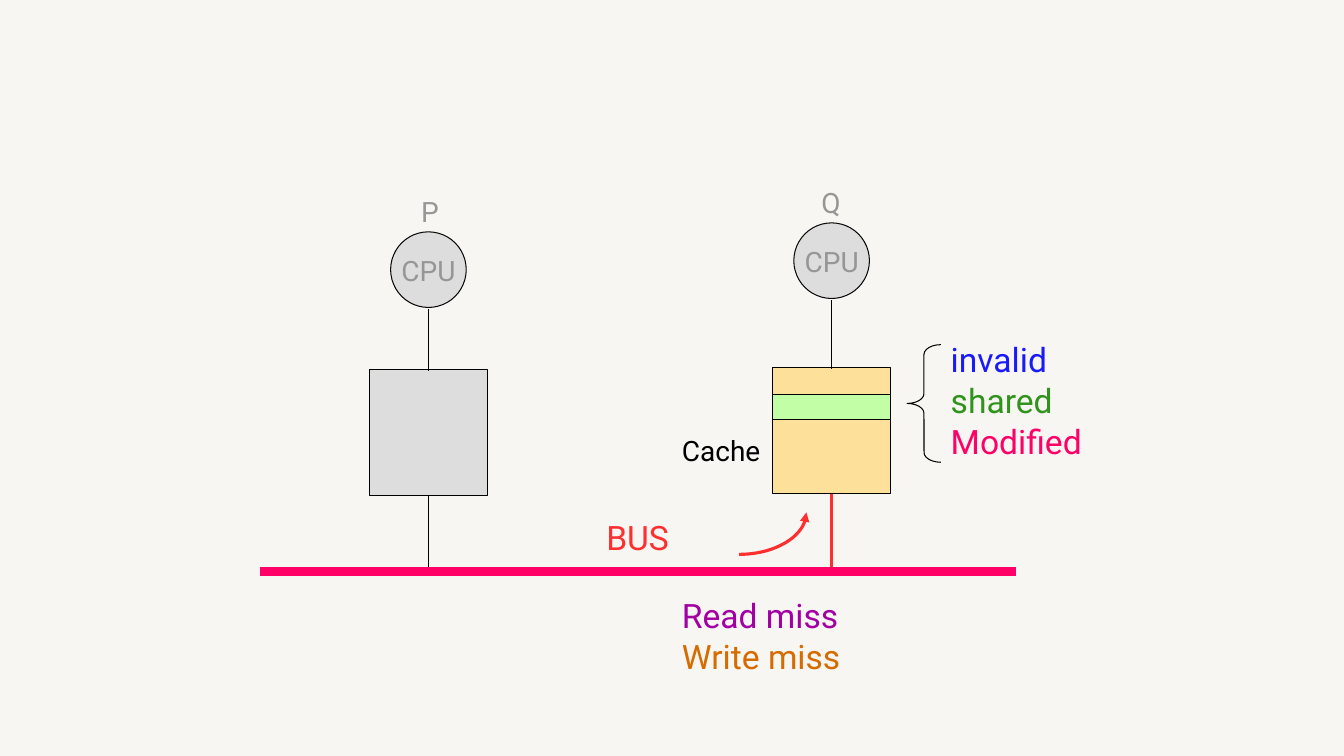
import dataclasses
import lxml.etree
import pptx
import pptx.dml.color
import pptx.enum.shapes
import pptx.oxml.ns
import pptx.util

Pt = pptx.util.Pt
SHAPE = pptx.enum.shapes.MSO_SHAPE


@dataclasses.dataclass(frozen=True)
class Theme:
    """Colours and type sizes of the slide."""
    font: str = "Roboto"
    small: int = 20
    large: int = 24
    background: str = "F7F6F3"
    ink: str = "000000"
    outline: str = "080808"
    muted: str = "969696"
    idle: str = "DDDDDD"
    cache: str = "FDE19B"
    shared_row: str = "C1FEA6"
    red: str = "FF2F2F"
    pink: str = "FF0066"
    blue: str = "1919F9"
    green: str = "30941C"
    purple: str = "A200A2"
    orange: str = "D66B00"


THEME = Theme()


def rgb(colour):
    """Turn a hex string into a colour."""
    return pptx.dml.color.RGBColor.from_string(colour)


def add_text(page, box, text, size=THEME.small, colours=(THEME.ink,), line=None, gap=0, inset=3.6):
    """Add a text box with one paragraph and colour per line of text."""
    frame = page.shapes.add_textbox(*map(Pt, box)).text_frame
    frame.word_wrap = True
    frame.margin_top = Pt(inset)
    for index, (words, colour) in enumerate(zip(text.split("\n"), colours)):
        para = frame.add_paragraph() if index else frame.paragraphs[0]
        if line:
            para.line_spacing = Pt(line)
        if index:
            para.space_before = Pt(gap)
        span = para.add_run()
        span.text = words
        span.font.name = THEME.font
        span.font.size = Pt(size)
        span.font.color.rgb = rgb(colour)


def add_block(page, kind, box, fill=None, line=THEME.ink):
    """Add an outlined preset shape."""
    shape = page.shapes.add_shape(kind, *map(Pt, box))
    shape.shadow.inherit = False
    if fill:
        shape.fill.solid()
        shape.fill.fore_color.rgb = rgb(fill)
    else:
        shape.fill.background()
    shape.line.color.rgb = rgb(line)
    shape.line.width = Pt(0.75)
    return shape


def add_line(page, start, end, colour=THEME.ink, width=0.75):
    """Add a straight line without a shadow."""
    line = page.shapes.add_connector(
        pptx.enum.shapes.MSO_CONNECTOR.STRAIGHT, *map(Pt, (*start, *end)))
    line.line.color.rgb = rgb(colour)
    line.line.width = Pt(width)
    lxml.etree.SubElement(line.element.spPr, pptx.oxml.ns.qn("a:effectLst"))


def add_processor(page, box, name, fill, name_shift, cache_top, bus_stem):
    """Add a named CPU, its cache and the stems down to the bus."""
    left, top, width, height = box
    middle = left + width / 2
    bottom = top + height
    cache_bottom = cache_top + 90
    add_line(page, (middle, cache_bottom), (middle, bottom), **bus_stem)
    add_block(page, SHAPE.RECTANGLE, (left, cache_top, width, 90), fill)
    add_line(page, (middle, top + 55), (middle, cache_top + 1))
    add_block(page, SHAPE.OVAL, (middle - 27, top, 54, 54), THEME.idle, THEME.outline)
    add_text(page, (middle - 26.3, top + 11.9, 60, 31), "CPU", colours=(THEME.muted,))
    add_text(page, (middle + name_shift, top - 30.2, 36, 31), name, colours=(THEME.muted,))


def add_states(page, box):
    """Add the brace and the list of cache line states."""
    left, top, width, height = box
    brace = add_block(page, SHAPE.LEFT_BRACE, (left, top, 24, height))
    brace.adjustments[0] = 0.292
    brace.adjustments[1] = 0.5
    add_text(page, (left + 24, top + 2.2, width - 24, 89.3), "invalid\nshared\nModified",
             THEME.large, (THEME.blue, THEME.green, THEME.pink), line=19, gap=10.3)


def add_bus_arrow(page, box):
    """Add the curved arrow that rises from the bus to the cache."""
    left, top, width, height = box
    steps = 24
    points = []
    for step in range(steps + 1):
        t = step / steps
        across = 3 * (1 - t) ** 2 * t * 0.55 + 3 * (1 - t) * t ** 2 + t ** 3
        up = 3 * (1 - t) * t ** 2 * 0.45 + t ** 3
        points.append((Pt(left + width * across), Pt(top + height * (1 - up))))
    builder = page.shapes.build_freeform(*points[0])
    builder.add_line_segments(points[1:], close=False)
    arrow = builder.convert_to_shape()
    arrow.shadow.inherit = False
    arrow.fill.background()
    arrow.line.color.rgb = rgb(THEME.red)
    arrow.line.width = Pt(2.25)
    tail = lxml.etree.SubElement(arrow.line._get_or_add_ln(), pptx.oxml.ns.qn("a:tailEnd"))
    tail.set("type", "triangle")


def add_bus(page, box):
    """Add the bus, its name and the messages below it."""
    left, top, width, height = box
    add_line(page, (left, top), (left + width, top), THEME.pink, 6)
    add_text(page, (left + 240, top - 42.2, 108, 36), "BUS", THEME.large, (THEME.red,))
    add_bus_arrow(page, (left + 342, top - 42.2, 48, 30))
    add_text(page, (left + 294, top - 18, 312, height + 18), "Read miss\nWrite miss",
             THEME.large, (THEME.purple, THEME.orange), line=19, gap=10.3, inset=44.5)


def build_slide(deck):
    """Add the slide that shows two processors on a snooping bus."""
    page = deck.slides.add_slide(deck.slide_layouts[6])
    page.background.fill.solid()
    page.background.fill.fore_color.rgb = rgb(THEME.background)
    add_processor(page, (264, 165.6, 84, 242.4), "P", THEME.idle, -12.2, 264.2, {})
    add_processor(page, (552, 159.2, 84, 248.8), "Q", THEME.cache, -14.4, 262.8,
                  {"colour": THEME.red, "width": 2.25})
    add_block(page, SHAPE.RECTANGLE, (552, 282, 84, 18), THEME.shared_row)
    add_text(page, (480, 306, 84, 31), "Cache")
    add_states(page, (648, 246.2, 192, 84))
    add_bus(page, (186, 408.2, 540, 72))


def main():
    """Build and save the deck."""
    deck = pptx.Presentation()
    deck.slide_width = Pt(960)
    deck.slide_height = Pt(540)
    build_slide(deck)
    deck.save("out.pptx")


if __name__ == "__main__":
    main()
